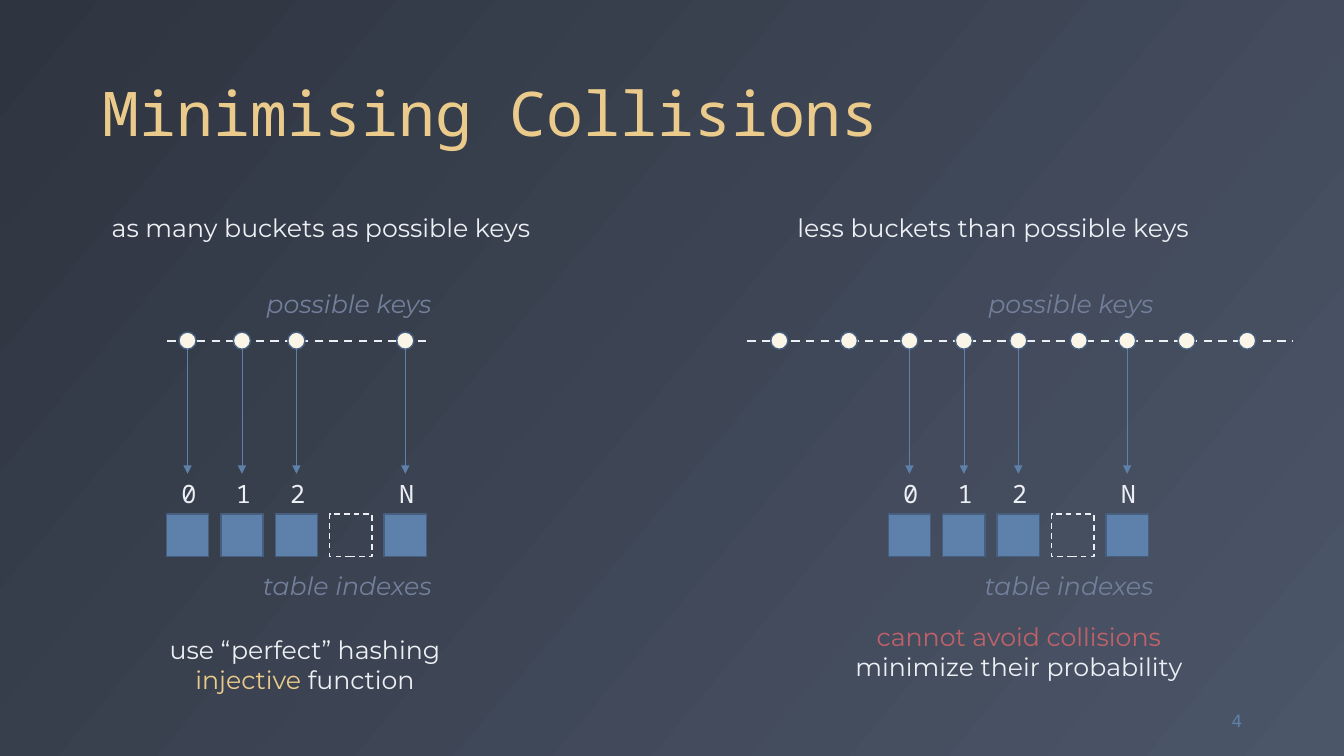
from dataclasses import dataclass

from lxml import etree
from pptx import Presentation
from pptx.dml.color import RGBColor
from pptx.enum.dml import MSO_LINE
from pptx.enum.shapes import MSO_CONNECTOR, MSO_SHAPE
from pptx.enum.text import MSO_ANCHOR, PP_ALIGN
from pptx.oxml.ns import qn
from pptx.util import Inches, Pt

DASH, STRAIGHT = MSO_LINE.DASH, MSO_CONNECTOR.STRAIGHT
SQUARE, CIRCLE = MSO_SHAPE.RECTANGLE, MSO_SHAPE.OVAL
TOP, MIDDLE, BOTTOM = MSO_ANCHOR.TOP, MSO_ANCHOR.MIDDLE, MSO_ANCHOR.BOTTOM
LEFT, CENTER, RIGHT = PP_ALIGN.LEFT, PP_ALIGN.CENTER, PP_ALIGN.RIGHT

SANS, MONO, NUMBER = "Montserrat", "Noto Sans Mono", "DejaVu Sans"
COLORS = {
    "dark": "2E3440", "light": "4C5669", "yellow": "EBCB8B", "blue": "5E81AC",
    "edge": "465F7F", "white": "ECEFF3", "muted": "73809B", "cream": "FBF5E8",
    "red": "BF6169",
}

COLUMN = 0.54   # pitch of the buckets
BUCKET = 0.42
DOT = 0.17
LINE_HEIGHT = 0.4
INDEXES = ["0", "1", "2", None, "N"]   # None marks the skipped buckets

# Rows of a panel, measured from its top
KEYS_LABEL, AXIS, INDEX_LABEL, BUCKETS, TABLE_LABEL = 0.75, 1.32, 2.64, 3.04, 3.55


@dataclass
class Box:
    left: float
    top: float
    width: float
    height: float

    def inches(self):
        return [Inches(n) for n in (self.left, self.top, self.width, self.height)]


def color(name):
    return RGBColor.from_string(COLORS[name])


def add_text(page, box, lines, size=18, font=SANS, align=LEFT, anchor=TOP,
             italic=False, wrap=False):
    """Each line is a list of (text, colour name) spans."""
    frame = page.shapes.add_textbox(*box.inches()).text_frame
    frame.word_wrap = wrap
    frame.vertical_anchor = anchor
    for number, spans in enumerate(lines):
        para = frame.add_paragraph() if number else frame.paragraphs[0]
        para.alignment = align
        for text, name in spans:
            span = para.add_run()
            span.text = text
            span.font.size = Pt(size)
            span.font.name = font
            span.font.italic = italic
            span.font.color.rgb = color(name)
    return frame


def add_block(page, kind, center_x, center_y, side, fill=None):
    """A filled block, or a dashed outline when there is no fill."""
    box = Box(center_x - side / 2, center_y - side / 2, side, side)
    block = page.shapes.add_shape(kind, *box.inches())
    block.shadow.inherit = False
    block.line.width = Pt(1)
    block.line.color.rgb = color("edge" if fill else "white")
    if fill:
        block.fill.solid()
        block.fill.fore_color.rgb = color(fill)
    else:
        block.fill.background()
        block.line.dash_style = DASH


def add_line(page, start, end, name, width):
    line = page.shapes.add_connector(STRAIGHT, *[Inches(n) for n in start + end])
    line.line.color.rgb = color(name)
    line.line.width = Pt(width)
    etree.SubElement(line._element.spPr, qn("a:effectLst"))
    return line


def add_arrow(page, start, end):
    arrow = add_line(page, start, end, "blue", 0.5)
    etree.SubElement(arrow.line._get_or_add_ln(), qn("a:tailEnd"), type="triangle")


def add_panel(page, box, heading, heading_box, axis_span, extra_keys,
              conclusion, conclusion_box):
    """Keys on a dashed axis, each mapped to its bucket; x values count from box.left."""
    add_text(page, heading_box, [[(heading, "white")]])
    for label, row, width in (("possible keys", KEYS_LABEL, 1.87),
                              ("table indexes", TABLE_LABEL, 1.91)):
        label_box = Box(box.left + box.width + 0.15 - width, box.top + row,
                        width, LINE_HEIGHT)
        add_text(page, label_box, [[(label, "muted")]], align=RIGHT, italic=True)

    axis_y = box.top + AXIS
    start, end = axis_span
    axis = add_line(page, (box.left + start, axis_y), (box.left + end, axis_y),
                    "white", 1.5)
    axis.line.dash_style = DASH
    for offset in extra_keys:
        add_block(page, CIRCLE, box.left + offset, axis_y, DOT, "cream")

    for column, index in enumerate(INDEXES):
        x = box.left + BUCKET / 2 + column * COLUMN
        fill = "blue" if index else None
        add_block(page, SQUARE, x, box.top + BUCKETS + BUCKET / 2, BUCKET, fill)
        if index:
            label_y = box.top + INDEX_LABEL
            add_text(page, Box(x - 0.16, label_y, 0.34, LINE_HEIGHT),
                     [[(index, "white")]], font=MONO, align=CENTER)
            add_block(page, CIRCLE, x, axis_y, DOT, "cream")
            add_arrow(page, (x, axis_y + DOT / 2), (x, label_y))

    add_text(page, conclusion_box, conclusion, align=CENTER)


def add_title(page, box, title):
    frame = add_text(page, box, [[(title, "yellow")]], size=44, font=MONO,
                     anchor=BOTTOM, wrap=True)
    frame.paragraphs[0].line_spacing = 0.9


def paint_background(page):
    fill = page.background.fill
    fill.gradient()
    fill.gradient_angle = 320
    for stop, name in zip(fill.gradient_stops, ("dark", "light")):
        stop.color.rgb = color(name)


def main():
    deck = Presentation()
    deck.slide_width, deck.slide_height = Inches(13.33), Inches(7.5)
    page = deck.slides.add_slide(deck.slide_layouts[6])
    paint_background(page)
    add_title(page, Box(0.92, 0.18, 11.5, 1.36), "Minimising Collisions")
    add_text(page, Box(11.59, 6.95, 0.83, LINE_HEIGHT), [[("4", "blue")]], size=12,
             font=NUMBER, align=RIGHT, anchor=MIDDLE, wrap=True)
    add_panel(
        page, Box(1.65, 2.06, 2.58, 4.89),
        "as many buckets as possible keys", Box(1.01, 2.06, 4.42, LINE_HEIGHT),
        (0.01, 2.6), [],
        [[("use “perfect” hashing", "white")],
         [("injective", "yellow"), (" function", "white")]],
        Box(1.57, 6.24, 2.91, 0.71))
    add_panel(
        page, Box(8.81, 2.06, 2.58, 4.89),
        "less buckets than possible keys", Box(7.81, 2.06, 4.14, LINE_HEIGHT),
        (-1.4, 4.01), [-1.08, -0.39, 1.89, 2.96, 3.56],
        [[("cannot avoid collisions", "red")],
         [("minimize their probability", "white")]],
        Box(8.36, 6.11, 3.49, 0.71))
    deck.save("out.pptx")


if __name__ == "__main__":
    main()
